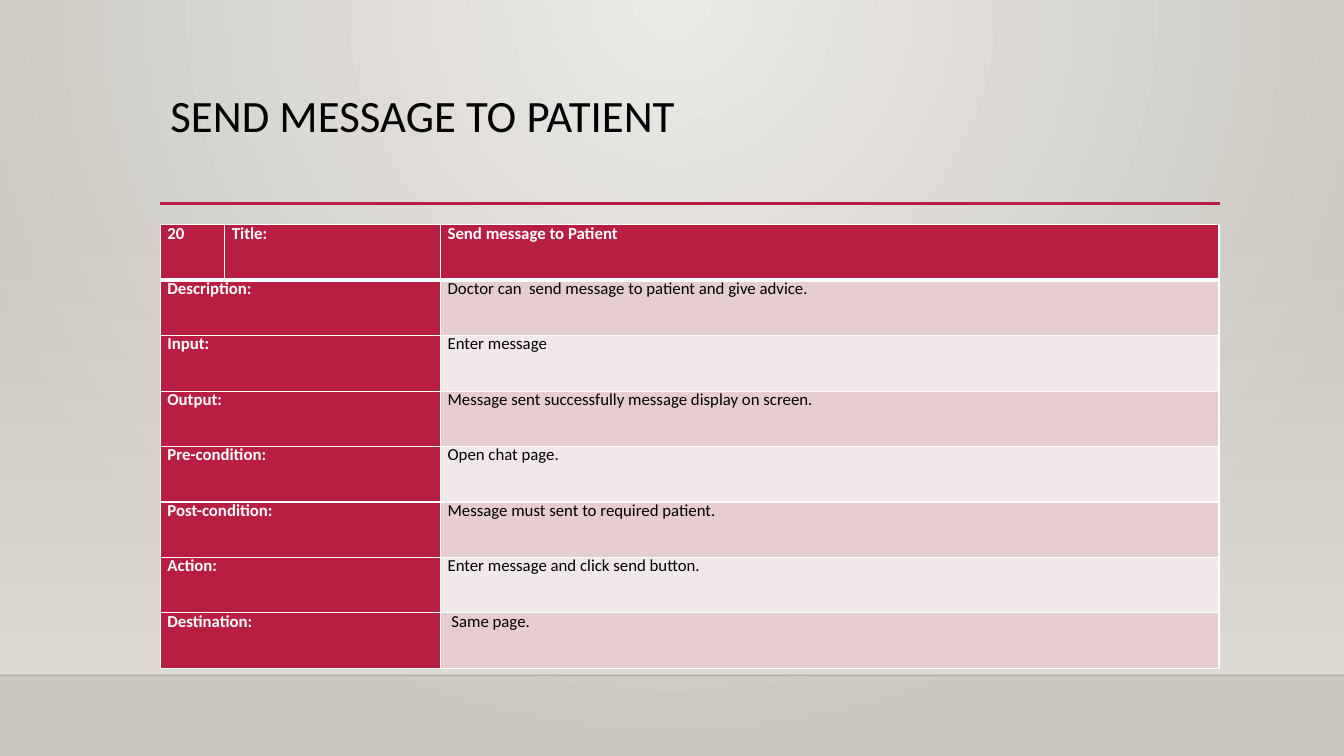
from lxml import etree
from pptx import Presentation
from pptx.dml.color import RGBColor
from pptx.enum.shapes import MSO_CONNECTOR, MSO_SHAPE
from pptx.enum.text import MSO_ANCHOR, PP_ALIGN
from pptx.oxml import parse_xml
from pptx.oxml.ns import nsdecls, qn
from pptx.util import Inches, Pt

CRIMSON = RGBColor(0xB7, 0x1E, 0x42)
WHITE = RGBColor(0xFF, 0xFF, 0xFF)
BLACK = RGBColor(0, 0, 0)
PINK = RGBColor(0xE6, 0xCD, 0xCF)
PALE_PINK = RGBColor(0xF3, 0xE8, 0xE9)
BG_CENTER = RGBColor(0xEC, 0xEA, 0xE7)
BG_EDGE = RGBColor(0xCA, 0xC7, 0xC1)
WALL = RGBColor(0xDF, 0xDB, 0xD5)
FONT = "Calibri"

WIDTH, HEIGHT = 13.33, 7.5
FLOOR_Y = 6.7
LEFT, CONTENT_W = 1.59, 10.5
COLUMNS = [0.64, 2.14, 7.72]
ROW_H = 0.55

HEADER = ["20", "Title:", "Send message to Patient"]
DETAILS = [
    ("Description:", "Doctor can  send message to patient and give advice."),
    ("Input:", "Enter message"),
    ("Output:", "Message sent successfully message display on screen."),
    ("Pre-condition:", "Open chat page."),
    ("Post-condition:", "Message must sent to required patient."),
    ("Action:", "Enter message and click send button."),
    ("Destination:", " Same page."),
]


def set_gradient(fill, first, last):
    fill.gradient()
    for stop, color, position in zip(fill.gradient_stops, (first, last), (0, 1)):
        stop.color.rgb = color
        stop.position = position


def set_alpha(sp, percent):
    """Give the first colour of a shape or line an opacity."""
    color = next(sp._element.spPr.iter(qn("a:srgbClr")))
    etree.SubElement(color, qn("a:alpha"), val=str(percent * 1000))


def add_line(slide, left, top, width, color, weight):
    line = slide.shapes.add_connector(
        MSO_CONNECTOR.STRAIGHT, Inches(left), Inches(top), Inches(left + width), Inches(top))
    line.line.color.rgb = color
    line.line.width = Pt(weight)
    etree.SubElement(line._element.spPr, qn("a:effectLst"))
    return line


def add_backdrop(slide, left, top, width, height):
    # Radial background
    set_gradient(slide.background.fill, BG_CENTER, BG_EDGE)
    lin = next(slide.background._cSld.iter(qn("a:lin")))
    lin.getparent().replace(lin, parse_xml(
        f'<a:path {nsdecls("a")} path="circle">'
        '<a:fillToRect l="43000" t="0" r="43000" b="100000"/></a:path>'))

    # Wall fading in towards the floor edge
    wall = slide.shapes.add_shape(
        MSO_SHAPE.RECTANGLE, Inches(left), Inches(top), Inches(width), Inches(height))
    wall.shadow.inherit = False
    wall.line.fill.background()
    set_gradient(wall.fill, WALL, WALL)
    wall.fill.gradient_angle = 270
    set_alpha(wall, 0)
    set_alpha(add_line(slide, left, top + height, width, BLACK, 1), 20)


def add_title(slide, left, top, width, height):
    title = slide.shapes.title
    title.left, title.top = Inches(left), Inches(top)
    title.width, title.height = Inches(width), Inches(height)
    tf = title.text_frame
    tf.text = "SEND MESSAGE TO PATIENT"
    tf.vertical_anchor = MSO_ANCHOR.TOP
    p = tf.paragraphs[0]
    p.alignment = PP_ALIGN.LEFT
    p.line_spacing = 0.9
    font = p.runs[0].font
    font.name, font.size = FONT, Pt(32)
    font.color.rgb = BLACK
    add_line(slide, left, top + 1.14, width + 0.01, CRIMSON, 2.5)


def format_cell(cell, text, fill, color, bold, top=1, bottom=1):
    # Borders come before the fill in the cell properties
    tc_pr = cell._tc.get_or_add_tcPr()
    for side, weight in zip("LRTB", (1, 1, top, bottom)):
        tc_pr.append(parse_xml(
            f'<a:ln{side} {nsdecls("a")} w="{Pt(weight)}"><a:solidFill>'
            f'<a:srgbClr val="{WHITE}"/></a:solidFill></a:ln{side}>'))
    cell.fill.solid()
    cell.fill.fore_color.rgb = fill
    cell.margin_left = cell.margin_right = Inches(0.07)
    cell.margin_top = cell.margin_bottom = 0
    cell.vertical_anchor = MSO_ANCHOR.TOP
    cell.text = text
    p = cell.text_frame.paragraphs[0]
    p.alignment = PP_ALIGN.JUSTIFY
    p.line_spacing = Pt(13.4)
    p.space_after = Pt(6)
    font = p.font
    if p.runs:
        font = p.runs[0].font
    font.name, font.size, font.bold = FONT, Pt(12), bold
    font.color.rgb = color


def add_use_case_table(slide, left, top, width):
    count = len(DETAILS) + 1
    table = slide.shapes.add_table(
        count, len(COLUMNS), Inches(left), Inches(top), Inches(width),
        Inches(count * ROW_H)).table
    for column, column_w in zip(table.columns, COLUMNS):
        column.width = Inches(column_w)
    for row in table.rows:
        row.height = Inches(ROW_H)

    # Header row
    for i, text in enumerate(HEADER):
        format_cell(table.cell(0, i), text, CRIMSON, WHITE, True, bottom=3)

    # Detail rows: a label over two columns, then its value
    for i, (label, value) in enumerate(DETAILS, 1):
        edge = 3 if i == 1 else 1
        table.cell(i, 0).merge(table.cell(i, 1))
        format_cell(table.cell(i, 0), label, CRIMSON, WHITE, True, top=edge)
        format_cell(table.cell(i, 1), "", CRIMSON, WHITE, True, top=edge)
        format_cell(table.cell(i, 2), value, PINK if i % 2 else PALE_PINK,
                    BLACK, False, top=edge)


def main():
    prs = Presentation()
    prs.slide_width, prs.slide_height = Inches(WIDTH), Inches(HEIGHT)
    slide = prs.slides.add_slide(prs.slide_layouts[5])
    add_backdrop(slide, 0, 2.21, WIDTH, FLOOR_Y - 2.21)
    add_title(slide, LEFT, 0.88, CONTENT_W, 1.15)
    add_use_case_table(slide, LEFT, 2.23, CONTENT_W)
    prs.save("out.pptx")


if __name__ == "__main__":
    main()
